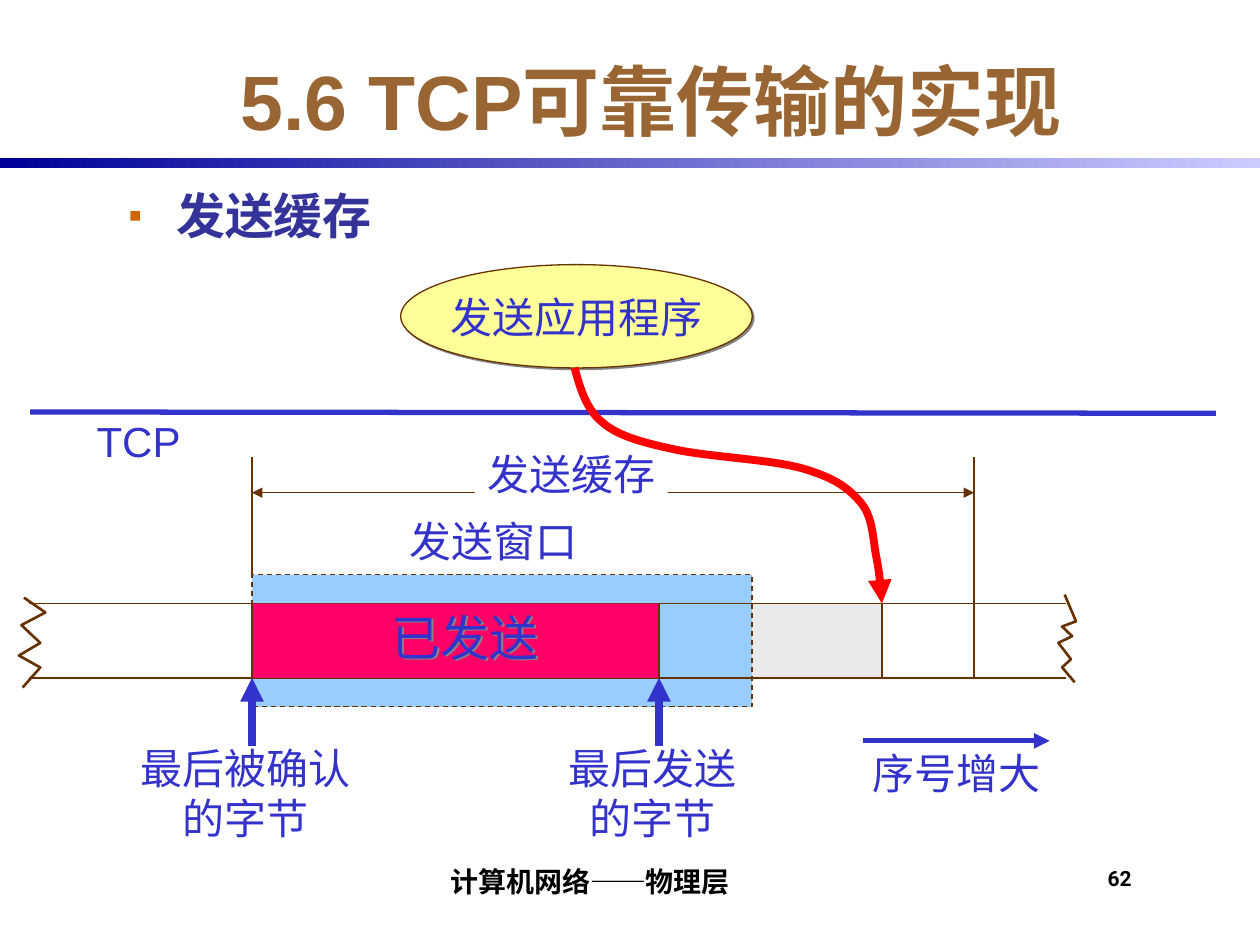
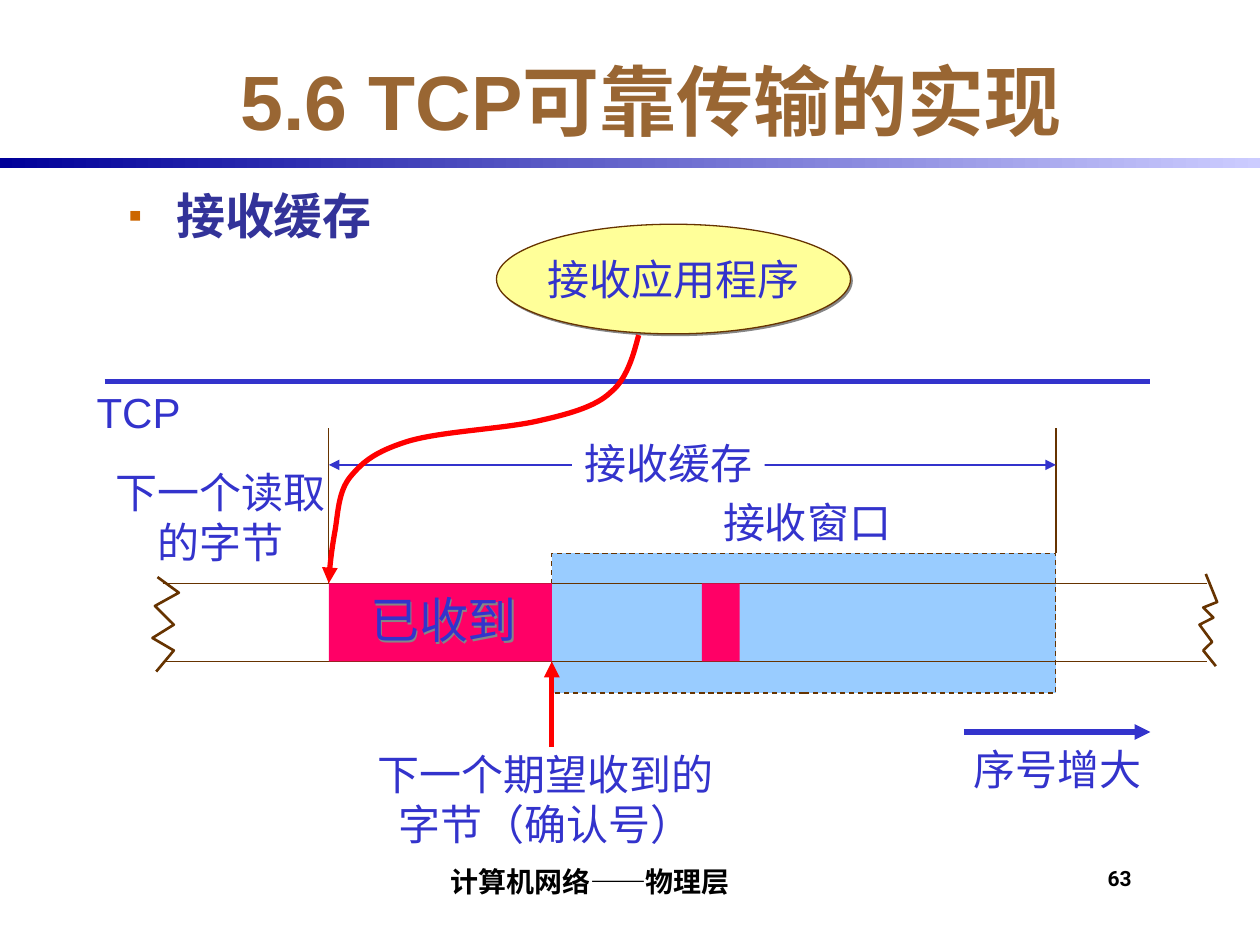
from lxml.etree import SubElement
from pptx import Presentation
from pptx.dml.color import RGBColor
from pptx.enum.dml import MSO_LINE
from pptx.enum.shapes import MSO_CONNECTOR, MSO_SHAPE
from pptx.enum.text import MSO_ANCHOR, MSO_AUTO_SIZE, PP_ALIGN
from pptx.oxml.ns import qn
from pptx.util import Inches, Pt

SLIDE_WIDTH, SLIDE_HEIGHT = Inches(10), Inches(7.5)
COLUMN, ROW = SLIDE_WIDTH / 10, SLIDE_HEIGHT / 7.5

BLACK = RGBColor(0x00, 0x00, 0x00)
WHITE = RGBColor(0xFF, 0xFF, 0xFF)
NAVY = RGBColor(0x00, 0x00, 0x99)
LAVENDER = RGBColor(0xCC, 0xCC, 0xFF)
TITLE_BROWN = RGBColor(0x99, 0x66, 0x33)
HEADING_BLUE = RGBColor(0x33, 0x33, 0x99)
BULLET_ORANGE = RGBColor(0xCC, 0x66, 0x00)
LABEL_BLUE = RGBColor(0x33, 0x33, 0xCC)
LINE_BROWN = RGBColor(0x66, 0x33, 0x00)
WINDOW_BLUE = RGBColor(0x99, 0xCC, 0xFF)
DATA_RED = RGBColor(0xFF, 0x00, 0x66)
FLOW_RED = RGBColor(0xFF, 0x00, 0x00)
APP_YELLOW = RGBColor(0xFF, 0xFF, 0x99)
UNSENT_GRAY = RGBColor(0xEA, 0xEA, 0xEA)
SHADOW_GRAY = RGBColor(0x86, 0x86, 0x86)

TITLE = "5.6 TCP可靠传输的实现"
FOOTER = "计算机网络——物理层"
TEXT_INSETS = (0.1, 0.05, 0.1, 0.05)
LABEL_INSETS = (0.03, 0.05, 0.03, 0.05)

LEFT_TEAR = [(0.04, -0.08), (0.21, 0.12), (0.02, 0.29), (0.17, 0.53),
             (0, 0.7), (0.17, 0.86), (0.03, 1.13)]
RIGHT_TEAR = [(0.05, -0.12), (0.14, 0.24), (0.03, 0.31), (0.11, 0.44),
              (0, 0.53), (0.1, 0.75), (0.03, 0.86), (0.13, 1.06)]
FLOW_CURVE = [(0, 0),
              (0.01, 0.04), (0.03, 0.17), (0.09, 0.23),
              (0.14, 0.29), (0.23, 0.32), (0.34, 0.35),
              (0.46, 0.38), (0.65, 0.39), (0.75, 0.43),
              (0.85, 0.47), (0.89, 0.51), (0.93, 0.57),
              (0.97, 0.63), (0.97, 0.72), (0.98, 0.79),
              (0.99, 0.86), (1, 0.96), (1, 1)]


def place(column, row):
    """Turn a grid position into slide lengths."""
    return round(column * COLUMN), round(row * ROW)


def area(left, top, width, height):
    """Turn a grid rectangle into slide lengths."""
    return *place(left, top), *place(width, height)


def add_shadow(shape):
    """Give a shape a small hard shadow."""
    shape.shadow.inherit = False
    effects = shape._element.spPr.find(qn("a:effectLst"))
    shadow = SubElement(effects, qn("a:outerShdw"), dist="17780", dir="2700000",
                        algn="ctr", rotWithShape="0")
    SubElement(shadow, qn("a:srgbClr"), val=str(SHADOW_GRAY))


def add_arrowheads(line, head, tail):
    """Add triangles to the start and the end of a line."""
    properties = line._get_or_add_ln()
    for wanted, tag in ((head, "a:headEnd"), (tail, "a:tailEnd")):
        if wanted:
            SubElement(properties, qn(tag), type="triangle")


def set_text(shape, text, size, color, font="Arial", bold=False,
             align=PP_ALIGN.CENTER, anchor=MSO_ANCHOR.TOP,
             insets=TEXT_INSETS, wrap=True):
    """Write the text of a shape and format every run."""
    frame = shape.text_frame
    frame.text = text
    frame.word_wrap = wrap
    frame.vertical_anchor = anchor
    (frame.margin_left, frame.margin_top,
     frame.margin_right, frame.margin_bottom) = map(Inches, insets)
    for para in frame.paragraphs:
        para.alignment = align
        for span in para.runs:
            span.font.name, span.font.size = font, Pt(size)
            span.font.bold, span.font.color.rgb = bold, color


def add_text(page, bounds, text, size, color, **style):
    """Add a text box."""
    box = page.shapes.add_textbox(*area(*bounds))
    set_text(box, text, size, color, **style)
    return box


def add_label(page, left, top, width, text, fill=None, size=24):
    """Add a diagram label that grows with its lines."""
    height = 0.4 * (text.count("\n") + 1) + 0.1
    box = add_text(page, (left, top, width, height), text, size, LABEL_BLUE,
                   insets=LABEL_INSETS, wrap=False)
    box.text_frame.auto_size = MSO_AUTO_SIZE.SHAPE_TO_FIT_TEXT
    if fill is not None:
        box.fill.solid()
        box.fill.fore_color.rgb = fill
    return box


def add_data_label(page, left, top, text):
    """Add a larger label with shadowed letters."""
    add_shadow(add_label(page, left, top, 1.36, text, size=28))


def add_block(page, bounds, fill, outline=None, dash=None, kind=MSO_SHAPE.RECTANGLE):
    """Add a filled preset shape."""
    block = page.shapes.add_shape(kind, *area(*bounds))
    block.shadow.inherit = False
    block.fill.solid()
    block.fill.fore_color.rgb = fill
    if outline is None:
        block.line.fill.background()
    else:
        block.line.color.rgb, block.line.width = outline, Pt(0.75)
        block.line.dash_style = dash
    return block


def add_window(page, *bounds):
    """Add the dashed window."""
    add_block(page, bounds, WINDOW_BLUE, LINE_BROWN, MSO_LINE.DASH)


def add_application(page, bounds, text):
    """Add the application oval."""
    oval = add_block(page, bounds, APP_YELLOW, LINE_BROWN, kind=MSO_SHAPE.OVAL)
    add_shadow(oval)
    set_text(oval, text, 24, LABEL_BLUE, anchor=MSO_ANCHOR.MIDDLE, wrap=False)


def add_line(page, start, end, color=LINE_BROWN, width=0.75, head=False, tail=False):
    """Add a straight line with optional arrowheads."""
    connector = page.shapes.add_connector(
        MSO_CONNECTOR.STRAIGHT, *place(*start), *place(*end))
    connector.line.color.rgb, connector.line.width = color, Pt(width)
    add_arrowheads(connector.line, head, tail)
    SubElement(connector._element.spPr, qn("a:effectLst"))


def add_outline(page, points, color, width):
    """Add an open freeform line."""
    first, *others = [place(*point) for point in points]
    builder = page.shapes.build_freeform(*first)
    builder.add_line_segments(others, close=False)
    outline = builder.convert_to_shape()
    outline.shadow.inherit = False
    outline.fill.background()
    outline.line.color.rgb, outline.line.width = color, Pt(width)
    return outline


def add_flow(page, start, end, width):
    """Add the curved arrow between application and buffer."""
    points = [(start[0] + (end[0] - start[0]) * across,
               start[1] + (end[1] - start[1]) * down) for across, down in FLOW_CURVE]
    flow = add_outline(page, points, FLOW_RED, width)
    route = next(flow._element.iter(qn("a:moveTo"))).getparent()
    segments = route.findall(qn("a:lnTo"))
    for index in range(0, len(segments), 3):
        curve = SubElement(route, qn("a:cubicBezTo"))
        for segment in segments[index:index + 3]:
            curve.append(segment[0])
            route.remove(segment)
    add_arrowheads(flow.line, False, True)


def add_stream(page, left, right, top, height):
    """Add the byte stream: two long lines with torn ends."""
    for row in (top, top + height):
        add_line(page, (left + 0.08, row), (right + 0.06, row))
    for edge, tear in ((left, LEFT_TEAR), (right, RIGHT_TEAR)):
        points = [(edge + across, top + height * down) for across, down in tear]
        add_outline(page, points, LINE_BROWN, 1.5)


def add_sequence_arrow(page, left, row, label_top):
    """Add the arrow that shows growing sequence numbers."""
    add_line(page, (left, row), (left + 1.48, row), LABEL_BLUE, 3, tail=True)
    add_label(page, left - 0.02, label_top, 1.53, "序号增大")


def add_page(deck, heading, number):
    """Add a slide with band, title, heading and footers."""
    page = deck.slides.add_slide(deck.slide_layouts[6])
    band = add_block(page, (0, 1.25, 10, 0.08), NAVY)
    band.fill.gradient()
    band.fill.gradient_angle = 0
    for stop, color in zip(band.fill.gradient_stops, (NAVY, LAVENDER)):
        stop.color.rgb = color
    add_text(page, (0.92, 0.33, 8.5, 0.92), TITLE, 44, TITLE_BROWN,
             bold=True, anchor=MSO_ANCHOR.MIDDLE)
    body = add_text(page, (0.92, 1.42, 8.5, 5), heading, 28, HEADING_BLUE,
                    bold=True, align=PP_ALIGN.LEFT)
    properties = body.text_frame.paragraphs[0]._p.get_or_add_pPr()
    properties.set("marL", str(Inches(0.38)))
    properties.set("indent", str(-Inches(0.38)))
    bullet_color = SubElement(properties, qn("a:buClr"))
    SubElement(bullet_color, qn("a:srgbClr"), val=str(BULLET_ORANGE))
    SubElement(properties, qn("a:buSzPct"), val="80000")
    SubElement(properties, qn("a:buFont"), typeface="Arial")
    SubElement(properties, qn("a:buChar"), char="▪")
    add_text(page, (8.75, 6.83, 0.58, 0.42), str(number), 12, BLACK, font="Roboto",
             bold=True, align=PP_ALIGN.LEFT, insets=(0.04, 0.04, 0, 0))
    add_text(page, (2.08, 6.75, 5.17, 0.42), FOOTER, 16, BLACK, font="Roboto",
             bold=True, anchor=MSO_ANCHOR.BOTTOM, insets=(0.04, 0, 0, 0.04))
    return page


def add_send_buffer(deck):
    """Build the slide about the send buffer."""
    page = add_page(deck, "发送缓存", 62)
    first, sent, written, last = 2, 5.23, 7, 7.73
    top, height = 4.79, 0.59
    bottom = top + height
    add_line(page, (first, 3.91), (last, 3.91), head=True, tail=True)
    add_block(page, (sent, top, written - sent, height), UNSENT_GRAY)
    add_application(page, (3.18, 2.1, 2.79, 0.82), "发送应用程序")
    add_line(page, (0.24, 3.27), (9.65, 3.28), LABEL_BLUE, 3)
    add_window(page, first, 4.56, 3.97, 1.05)
    add_stream(page, 0.15, 8.4, top, height)
    add_block(page, (first, top, sent - first, height), DATA_RED)
    for column in (first, sent, written):
        add_line(page, (column, top), (column, bottom))
    add_line(page, (first, 3.63), (first, 4.56))
    add_line(page, (last, 3.63), (last, bottom))
    add_label(page, 3.77, 3.51, 1.53, "发送缓存", WHITE)
    add_label(page, 3.15, 4.04, 1.53, "发送窗口")
    add_data_label(page, 3.01, 4.77, "已发送")
    for column, width, text in ((first, 1.86, "最后被确认\n的字节"),
                                (sent, 1.53, "最后发送\n的字节")):
        add_line(page, (column, 5.92), (column, bottom), LABEL_BLUE, 4.5, tail=True)
        add_label(page, column - width / 2 - 0.05, 5.84, width, text)
    add_flow(page, (4.56, 2.92), (written, top), 4.5)
    add_label(page, 0.67, 3.25, 0.86, "TCP")
    add_sequence_arrow(page, 6.85, 5.88, 5.88)


def add_receive_buffer(deck):
    """Build the slide about the receive buffer."""
    page = add_page(deck, "接收缓存", 63)
    first, expected, last = 2.61, 4.38, 8.38
    top, height = 4.63, 0.62
    add_window(page, expected, 4.39, last - expected, 1.11)
    add_application(page, (3.94, 1.78, 2.81, 0.87), "接收应用程序")
    add_line(page, (0.83, 3.03), (9.13, 3.03), LABEL_BLUE, 3)
    add_stream(page, 1.21, 9.52, top, height)
    for left, width in ((first, expected - first), (5.57, 0.3)):
        add_block(page, (left, top, width, height), DATA_RED)
    add_data_label(page, 2.84, 4.63, "已收到")
    add_label(page, 5.64, 3.89, 1.53, "接收窗口")
    add_line(page, (first, 3.4), (first, top))
    add_line(page, (last, 3.4), (last, 4.39))
    add_label(page, 0.67, 3.02, 0.86, "TCP")
    add_line(page, (first, 3.69), (last, 3.69), LABEL_BLUE, head=True, tail=True)
    add_label(page, 4.54, 3.42, 1.53, "接收缓存", WHITE)
    add_flow(page, (5.07, 2.66), (first, top), 3)
    add_label(page, 0.82, 3.65, 1.86, "下一个读取\n的字节")
    add_sequence_arrow(page, 7.65, 5.81, 5.85)
    add_label(page, 2.9, 5.89, 2.86, "下一个期望收到的\n字节（确认号）")
    add_line(page, (expected, 5.93), (expected, top + height), FLOW_RED, 3, tail=True)


def main():
    """Build and save the deck."""
    deck = Presentation()
    deck.slide_width, deck.slide_height = SLIDE_WIDTH, SLIDE_HEIGHT
    add_send_buffer(deck)
    add_receive_buffer(deck)
    deck.save("out.pptx")


if __name__ == "__main__":
    main()
